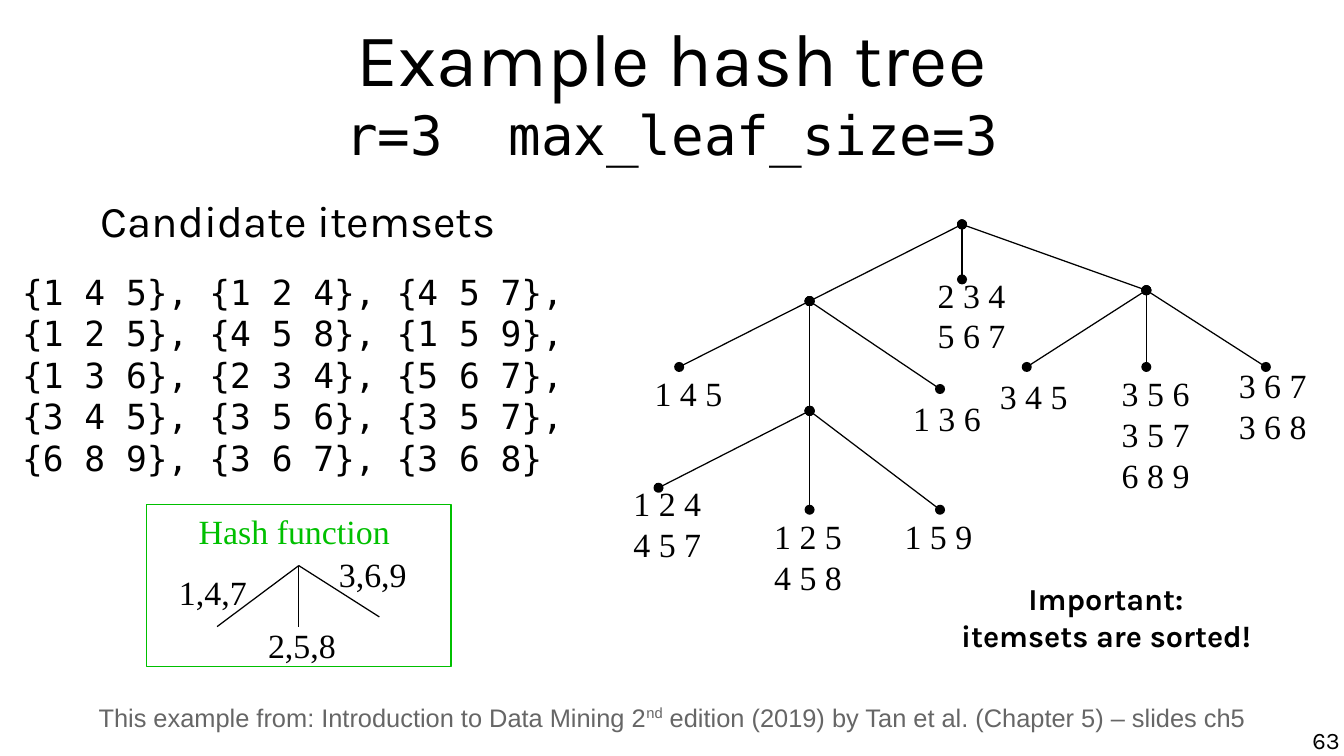
from copy import deepcopy
from dataclasses import dataclass

from lxml.etree import SubElement
from pptx import Presentation
from pptx.dml.color import RGBColor
from pptx.enum.shapes import MSO_CONNECTOR, MSO_SHAPE
from pptx.enum.text import MSO_ANCHOR, MSO_AUTO_SIZE, PP_ALIGN
from pptx.oxml.ns import qn
from pptx.util import Pt


@dataclass(frozen=True)
class Theme:
    black: str = "000000"
    green: str = "00C000"
    gray: str = "666666"
    sans: str = "Karla"
    mono: str = "DejaVu Sans Mono"
    serif: str = "Times New Roman"
    plain: str = "Arial"
    title: float = 44
    sub: float = 32
    head: float = 25.9
    code: float = 20.4
    label: float = 20
    note: float = 18
    cite: float = 15
    page: float = 14
    line: float = 0.75


THEME = Theme()
CENTER = {"alignment": PP_ALIGN.CENTER}
RIGHT = {"alignment": PP_ALIGN.RIGHT}
BARE = dict.fromkeys(("margin_left", "margin_top", "margin_right", "margin_bottom"), 0)
LABEL = {"name": THEME.serif, "size": Pt(THEME.label)}
FIT = {"auto_size": MSO_AUTO_SIZE.SHAPE_TO_FIT_TEXT}
PITCH = 24


def apply(target, values):
    for name, value in values.items():
        setattr(target, name, value)


class Page:
    def __init__(self, slide, theme):
        self.slide, self.theme, self.art = slide, theme, slide.shapes

    def group(self):
        """Send the elements that follow into a new group."""
        self.art = self.slide.shapes.add_group_shape().shapes

    def leave(self):
        """Return to the slide itself."""
        self.art = self.slide.shapes

    def run(self, para, text, font, color=None):
        for n, part in enumerate(text.split("\n")):
            if n:
                para.add_line_break()
            run = para.add_run()
            run.text = part
            apply(run.font, font)
            run.font.color.rgb = RGBColor.from_string(color or self.theme.black)
            if n:
                mark = para._p.findall(qn("a:br"))[-1]
                mark.append(deepcopy(run._r.rPr))
        return run

    def holder(self, index, box, anchor):
        """Place a template placeholder and return its text frame."""
        shape = self.slide.placeholders[index]
        apply(shape, dict(zip(("left", "top", "width", "height"), map(Pt, box))))
        frame = shape.text_frame
        apply(frame, {**BARE, "word_wrap": True, "vertical_anchor": anchor,
                      "auto_size": MSO_AUTO_SIZE.NONE})
        return frame

    def text(self, box, lines, font, color=None, wrap=False, para=None, frame=None):
        body = self.art.add_textbox(*map(Pt, box)).text_frame
        apply(body, {"word_wrap": wrap, "vertical_anchor": MSO_ANCHOR.TOP, **(frame or {})})
        for n, line in enumerate(lines):
            item = body.add_paragraph() if n else body.paragraphs[0]
            apply(item, para or {})
            self.run(item, line, font, color)
        return body

    def label(self, left, top, lines, color=None, width=55):
        self.text((left, top, width, 7.2 + PITCH * len(lines)), lines, LABEL, color,
                  frame=FIT)

    def line(self, start, end, dots=False):
        link = self.art.add_connector(MSO_CONNECTOR.STRAIGHT, *map(Pt, (*start, *end)))
        link.line.width = Pt(self.theme.line)
        link.line.color.rgb = RGBColor.from_string(self.theme.black)
        if dots:
            edge = link.line._get_or_add_ln()
            for tag in ("a:headEnd", "a:tailEnd"):
                SubElement(edge, qn(tag), type="oval")
        SubElement(link._element.spPr, qn("a:effectLst"))

    def frame(self, box, color):
        shape = self.art.add_shape(MSO_SHAPE.RECTANGLE, *map(Pt, box))
        shape.shadow.inherit = False
        shape.fill.background()
        shape.line.width = Pt(self.theme.line)
        shape.line.color.rgb = RGBColor.from_string(color)


ITEMS = """{1 4 5}, {1 2 4}, {4 5 7},
{1 2 5}, {4 5 8}, {1 5 9},
{1 3 6}, {2 3 4}, {5 6 7},
{3 4 5}, {3 5 6}, {3 5 7},
{6 8 9}, {3 6 7}, {3 6 8}"""

ROOT, LEFT, LOW, EAST = (568, 132.5), (478, 177.8), (478, 242.6), (676.8, 171.4)
# parent, child, label corner, itemsets in the leaf
TREE = [
    (ROOT, LEFT, None, []),
    (ROOT, EAST, None, []),
    (ROOT, (568, 165), (546.5, 158.4), ["2 3 4", "5 6 7"]),
    (LEFT, (401, 216.7), (379.4, 216.7), ["1 4 5"]),
    (LEFT, LOW, None, []),
    (LEFT, (555, 229.7), (532, 231.1), ["1 3 6"]),
    (LOW, (388.8, 288), (366.9, 281.5), ["1 2 4", "4 5 7"]),
    (LOW, (478, 301), (450, 301), ["1 2 5", "4 5 8"]),
    (LOW, (555, 301), (527, 301), ["1 5 9"]),
    (EAST, (606.2, 216.7), (583.2, 218.2), ["3 4 5"]),
    (EAST, (676.8, 216.7), (655.2, 216.7), ["3 5 6", "3 5 7", "6 8 9"]),
    (EAST, (747.4, 216.7), (724.3, 211.7), ["3 6 7", "3 6 8"]),
]
APEX = (176.4, 334)
# branch end, label corner, hashed values
HASH = [
    ((128.2, 370), (98.6, 334), "1,4,7"),
    ((176.4, 370), (151.2, 365), "2,5,8"),
    ((224, 364.3), (193, 323.3), "3,6,9"),
]


def main():
    deck = Presentation()
    apply(deck, {"slide_width": Pt(793.5), "slide_height": Pt(446.4)})
    page = Page(deck.slides.add_slide(deck.slide_layouts[1]), THEME)

    title = page.holder(0, (39.6, 4.3, 714.3, 97.2), MSO_ANCHOR.MIDDLE).paragraphs[0]
    apply(title, CENTER)
    page.run(title, "Example hash tree", {"name": THEME.sans, "size": Pt(THEME.title)})
    page.run(title, "\nr=3  max_leaf_size=3", {"name": THEME.mono, "size": Pt(THEME.sub)})

    body = page.holder(1, (13, 114.5, 326.2, 200.2), MSO_ANCHOR.TOP)
    head, code = body.paragraphs[0], body.add_paragraph()
    for para in (head, code):
        props = para._p.get_or_add_pPr()
        apply(para, {"space_before": Pt(0 if para is head else 14.2)})
        props.set("marL", "0")
        props.set("indent", "0")
        SubElement(props, qn("a:buNone"))
    apply(head, CENTER)
    apply(code, {"alignment": PP_ALIGN.LEFT})
    page.run(head, "Candidate itemsets", {"name": THEME.sans, "size": Pt(THEME.head)})
    page.run(code, ITEMS, {"name": THEME.mono, "size": Pt(THEME.code)})

    page.group()
    for start, end, spot, sets in TREE:
        page.line(start, end, dots=True)
        if sets:
            page.label(*spot, sets)

    page.group()
    for end, spot, values in HASH:
        page.line(APEX, end)
        page.label(*spot, [values])
    page.label(110.2, 298, ["Hash function"], THEME.green, width=127.4)
    page.frame((86.4, 298, 180, 95.8), THEME.green)

    page.leave()
    font = {"name": THEME.plain, "size": Pt(THEME.cite)}
    cite = page.text((3.6, 411, 786.3, 28), ["This example from: Introduction to Data Mining 2"],
                     font, THEME.gray, wrap=True, para=CENTER).paragraphs[0]
    power = page.run(cite, "nd", font, THEME.gray)
    power._r.get_or_add_rPr().set("baseline", "33000")
    page.run(cite, " edition (2019) by Tan et al. (Chapter 5) – slides ch5", font, THEME.gray)

    page.text((522, 339, 262, 50.4), ["Important:\nitemsets are sorted!"],
              {"name": THEME.sans, "size": Pt(THEME.note), "bold": True}, wrap=True, para=CENTER)
    page.text((606.2, 428.4, 185, 18), ["63"], {"name": THEME.sans, "size": Pt(THEME.page)},
              wrap=True, para=RIGHT, frame=BARE)
    deck.save("out.pptx")


if __name__ == "__main__":
    main()
